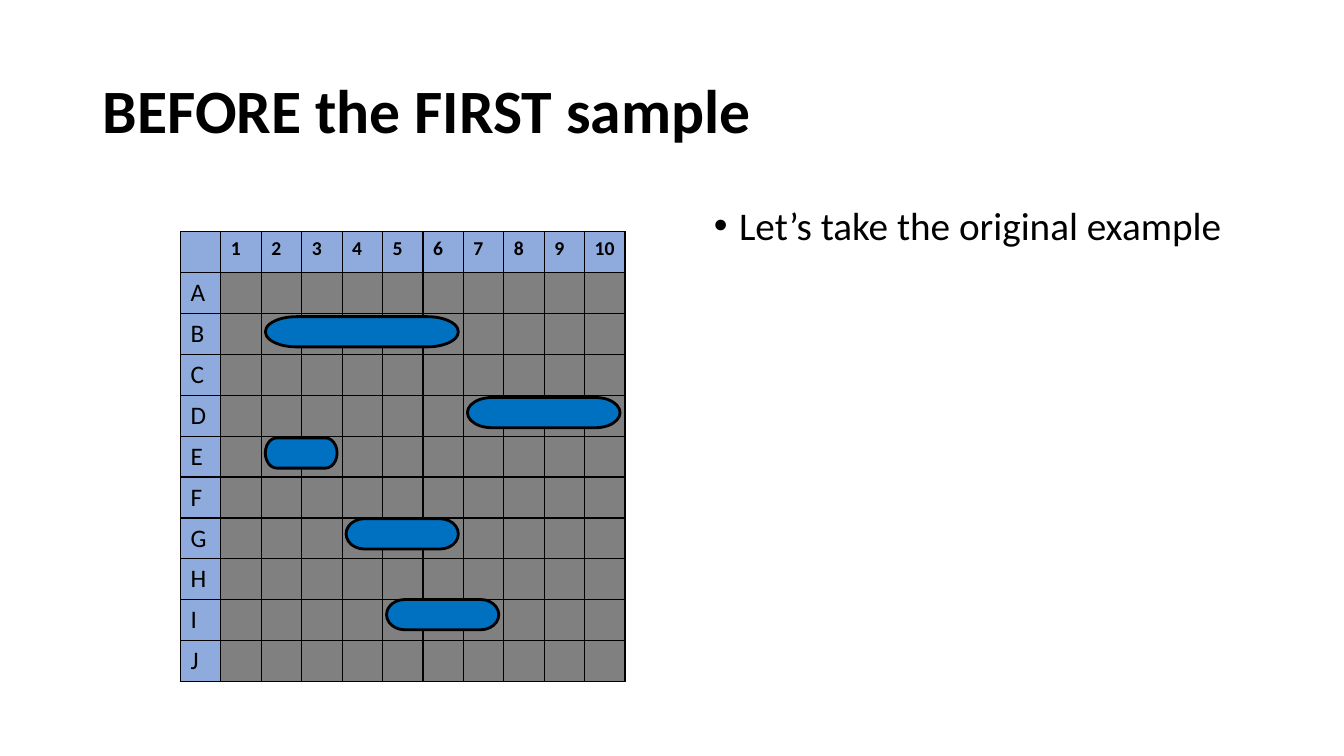
from dataclasses import dataclass

from lxml.etree import SubElement as Sub
from pptx import Presentation
from pptx.dml.color import RGBColor as RGB
from pptx.enum.shapes import MSO_SHAPE as Shape
from pptx.enum.text import MSO_ANCHOR as Anchor, PP_ALIGN as Align
from pptx.oxml.ns import qn
from pptx.util import Inches, Pt


@dataclass
class Theme:
    face: str = "Calibri"
    ink: RGB = RGB(0, 0, 0)
    head: RGB = RGB(0x8F, 0xAA, 0xDC)
    sea: RGB = RGB(0x80, 0x80, 0x80)
    ship: RGB = RGB(0x00, 0x70, 0xC0)
    title: int = 44
    body: int = 28
    row: int = 18
    col: int = 14


theme = Theme()


def style(para, size, bold=False):
    font = para.font
    font.name, font.size, font.bold = theme.face, Pt(size), bold
    font.color.rgb = theme.ink


def outline(cell):
    """Draw a thin line on all four sides; call before setting the fill."""
    props = cell._tc.get_or_add_tcPr()
    for side in ("lnL", "lnR", "lnT", "lnB"):
        line = Sub(props, qn(f"a:{side}"), w=str(Pt(1)))
        fill = Sub(line, qn("a:solidFill"))
        Sub(fill, qn("a:srgbClr"), val=str(theme.ink))


deck = Presentation()
deck.slide_width, deck.slide_height = Inches(13.33), Inches(7.5)
slide = deck.slides.add_slide(deck.slide_layouts[1])

# Title and list
title, body = slide.placeholders
title.left, title.top = Inches(0.92), Inches(0.4)
title.width, title.height = Inches(11.5), Inches(1.45)
title.text = "BEFORE the FIRST sample"
title.text_frame.vertical_anchor = Anchor.MIDDLE
para = title.text_frame.paragraphs[0]
para.alignment, para.line_spacing = Align.LEFT, 0.9
style(para, theme.title, True)

body.left, body.top = Inches(6.98), Inches(2)
body.width, body.height = Inches(5.44), Inches(4.76)
body.text = "Let’s take the original example"
para = body.text_frame.paragraphs[0]
para.line_spacing, para.space_before = 0.9, Pt(0)
props = para._p.get_or_add_pPr()
props.set("marL", str(Inches(0.25)))
props.set("indent", str(Inches(-0.25)))
Sub(props, qn("a:buFont"), typeface="Arial")
Sub(props, qn("a:buChar"), char="•")
style(para, theme.body)

# Board: numbers across, letters down
left, top, side, count = 1.79, 2.3, 4.41, 11
step = side / count
letters = "ABCDEFGHIJ"
board = slide.shapes.add_table(
    count, count, Inches(left), Inches(top), Inches(side), Inches(side)).table
board.first_row = board.horz_banding = False
for band in board.columns:
    band.width = Inches(step)
for band in board.rows:
    band.height = Inches(step)
for row in range(count):
    for col in range(count):
        cell = board.cell(row, col)
        outline(cell)
        cell.fill.solid()
        cell.fill.fore_color.rgb = theme.sea if row and col else theme.head
        if col and not row:
            cell.text = str(col)
            style(cell.text_frame.paragraphs[0], theme.col, True)
        elif row and not col:
            cell.text = letters[row - 1]
            style(cell.text_frame.paragraphs[0], theme.row)

# Ships: row letter, first column, length in cells
gap = 0.04
for letter, col, cells in (("B", 2, 5), ("D", 7, 4), ("E", 2, 2),
                           ("G", 4, 3), ("I", 5, 3)):
    row = letters.index(letter) + 1
    ship = slide.shapes.add_shape(
        Shape.FLOWCHART_TERMINATOR,
        Inches(left + col * step + gap), Inches(top + row * step + gap),
        Inches(cells * step - 0.09), Inches(0.3))
    ship.shadow.inherit = False
    ship.fill.solid()
    ship.fill.fore_color.rgb = theme.ship
    ship.line.color.rgb = theme.ink
    ship.line.width = Pt(2)

deck.save("out.pptx")
